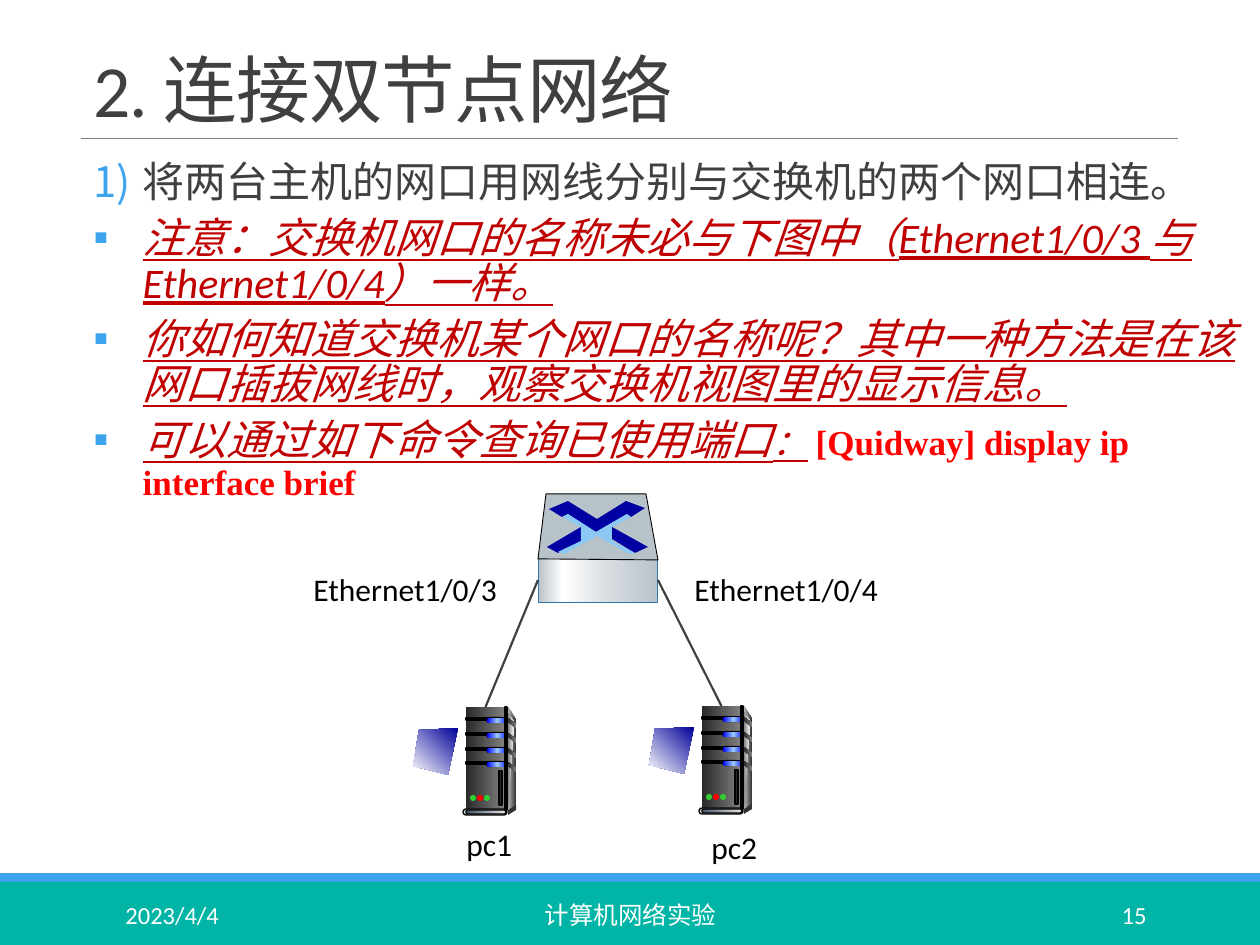
from lxml import etree
from pptx import Presentation
from pptx import util as u
from pptx.dml.color import RGBColor
from pptx.enum import shapes, text
from pptx.oxml import ns

EMU_PER_PX = 914400 / 126

WHITE = RGBColor(0xFF, 0xFF, 0xFF)
BLACK = RGBColor(0, 0, 0)
INK = RGBColor(0x40, 0x40, 0x40)
RULE = RGBColor(0x80, 0x80, 0x80)
SKY = RGBColor(0x3D, 0xA3, 0xED)
TEAL = RGBColor(0, 0xB4, 0xA6)
CRIMSON = RGBColor(0xC0, 0, 0)
RED = RGBColor(0xFF, 0, 0)
GREEN = RGBColor(0x33, 0xCC, 0x33)
COAL = RGBColor(0x29, 0x29, 0x29)
IRON = RGBColor(0x33, 0x33, 0x33)
SILVER = RGBColor(0xDD, 0xDD, 0xDD)
PEARL = RGBColor(0xF8, 0xF8, 0xF8)
BLUE = RGBColor(0, 0, 0xFF)
PALE_BLUE = RGBColor(0x99, 0xCC, 0xFF)
SCREEN = RGBColor(0, 0, 0x99)
SLATE = RGBColor(0x44, 0x54, 0x6A)
MIST = RGBColor(0xE7, 0xE6, 0xE6)
STEEL = RGBColor(0xB8, 0xC2, 0xC9)
LIGHT_STEEL = RGBColor(0xD6, 0xDC, 0xE0)
EDGE = RGBColor(0x2D, 0x79, 0xAF)
NAVY = RGBColor(0, 0, 0xA3)
ARROW_SIDE = RGBColor(0x8B, 0xC8, 0xF4)

DARK_METAL = [(0, COAL), (100, RULE)]
LAMP = [(0, BLUE), (50, PALE_BLUE), (100, BLUE)]

RECT = shapes.MSO_SHAPE.RECTANGLE
ROUND = shapes.MSO_SHAPE.ROUNDED_RECTANGLE
OVAL = shapes.MSO_SHAPE.OVAL
LEFT, CENTER, RIGHT = text.PP_ALIGN.LEFT, text.PP_ALIGN.CENTER, text.PP_ALIGN.RIGHT


def px(n):
    return u.Emu(round(n * EMU_PER_PX))


def sub(parent, tag, **attrs):
    return etree.SubElement(parent, ns.qn(tag), attrs)


def paint(sp, fill, line=None, width=0.75, angle=0):
    """Fill with a colour or a list of (percent, colour) stops, then outline."""
    sp.shadow.inherit = False
    if isinstance(fill, list):
        sp.fill.gradient()
        sp.fill.gradient_angle = angle
        stops = sp.fill._fill._gradFill.find(ns.qn("a:gsLst"))
        for stop in list(stops):
            stops.remove(stop)
        for percent, color in fill:
            gs = sub(stops, "a:gs", pos=str(percent * 1000))
            sub(gs, "a:srgbClr", val=str(color))
    else:
        sp.fill.solid()
        sp.fill.fore_color.rgb = fill
    if line is None:
        sp.line.fill.background()
    else:
        sp.line.color.rgb = line
        sp.line.width = u.Pt(width)
    return sp


def add_box(parent, kind, box, fill, **style):
    sp = parent.add_shape(kind, *map(px, box))
    if kind == ROUND:
        sp.adjustments[0] = 0.5
    return paint(sp, fill, **style)


def add_polygon(parent, points, fill, origin=(0, 0), **style):
    builder = parent.build_freeform(*points[0], scale=EMU_PER_PX)
    builder.add_line_segments(points[1:], close=True)
    return paint(builder.convert_to_shape(*map(px, origin)), fill, **style)


def add_line(parent, start, end, color, width):
    line = parent.add_connector(shapes.MSO_CONNECTOR.STRAIGHT, *map(px, start + end))
    line.line.color.rgb = color
    line.line.width = u.Pt(width)
    sub(line._element.spPr, "a:effectLst")
    return line


def style_font(font, size, color, name="Calibri"):
    font.size, font.name = u.Pt(size), name
    font.color.rgb = color


def add_text(s, box, words, size, color, align=LEFT, anchor=text.MSO_ANCHOR.TOP, wrap=True):
    tf = s.shapes.add_textbox(*map(px, box)).text_frame
    tf.word_wrap = wrap
    tf.vertical_anchor = anchor
    p = tf.paragraphs[0]
    p.alignment = align
    p.add_run().text = words
    style_font(p.font, size, color)
    return p


def add_item(tf, index, runs, color, numbered=False):
    p = tf.paragraphs[0] if index == 0 else tf.add_paragraph()
    p.line_spacing = 0.9
    p.space_before, p.space_after = u.Pt(2 if index else 0), u.Pt(4)
    pPr = p._p.get_or_add_pPr()
    pPr.set("marL", str(u.Inches(0.49)))
    pPr.set("indent", str(-u.Inches(0.39)))
    sub(sub(pPr, "a:buClr"), "a:srgbClr", val=str(SKY))
    sub(pPr, "a:buFont", typeface="Calibri")
    if numbered:
        sub(pPr, "a:buAutoNum", type="arabicParenR")
    else:
        sub(pPr, "a:buChar", char="▪")
    style_font(p.font, 24, color)
    p.font.italic = p.font.underline = not numbered
    for words in runs:
        p.add_run().text = words
    return p


def add_instructions(s):
    tf = s.shapes.add_textbox(*map(px, (81, 155, 1169, 701))).text_frame
    tf.word_wrap = True
    tf.margin_left = tf.margin_right = 0
    add_item(tf, 0, ["将两台主机的网口用网线分别与交换机的两个网口相连。"], INK, numbered=True)
    add_item(tf, 1, ["注意：交换机网口的名称未必与下图中（Ethernet1/0/3 与Ethernet1/0/4）一样。"], CRIMSON)
    add_item(tf, 2, ["你如何知道交换机某个网口的名称呢？其中一种方法是在该网口插拔网线时，"
                     "观察交换机视图里的显示信息。"], CRIMSON)
    p = add_item(tf, 3, ["可以通过如下命令查询已使用端口", "：",
                         " [Quidway] display ip interface brief"], CRIMSON)
    _, colon, command = p.runs
    colon.font.size = u.Pt(20)
    style_font(command.font, 20, RED, "Times New Roman")
    command.font.bold = True
    command.font.italic = command.font.underline = False


def add_pc(s, x, y):
    """Draw a PC with its tower's top left corner at x, y; return the tower front."""
    g = s.shapes.add_group_shape().shapes

    def box(kind, left, top, width, height, fill, line=None):
        return add_box(g, kind, (x + left, y + top, width, height), fill, line=line)

    def polygon(points, fill, angle=0):
        add_polygon(g, points, fill, (x, y), angle=angle)

    polygon([(42, 0), (50, 13), (50, 100), (40, 103)], [(0, SILVER), (100, IRON)])
    front = box(RECT, 0, 0, 39, 103, DARK_METAL)
    polygon([(42, 6), (48, 15), (45, 58), (42, 101)], [(0, RULE), (100, PEARL)])
    for top in (11, 26, 41, 55):
        box(RECT, 0, top, 23, 2, BLACK, BLACK)
        box(ROUND, 20, top - 1, 21, 6, BLACK)
        box(ROUND, 21, top, 21, 5, LAMP)
        polygon([(42, top), (50, top + 6), (50, top + 10), (42, top + 4)], DARK_METAL)
    box(RECT, 39, 0, 2, 103, [(0, IRON), (50, SILVER), (100, IRON)], BLACK)
    box(OVAL, 49, 98, 1, 4, IRON)
    polygon([(42, 103), (42, 108), (50, 103), (50, 98)], IRON)
    box(ROUND, -3, 102, 44, 6, SILVER, BLACK)
    box(ROUND, 0, 103, 40, 4, [(0, SLATE), (100, MIST)], BLACK)
    for i, color in enumerate((GREEN, RED, GREEN)):
        box(OVAL, 4 + 7 * i, 88, 6, 6, color)
    box(RECT, 33, 64, 3, 34, COAL, BLACK)
    polygon([(-8, 21), (-47, 23), (-53, 59), (-18, 68)], [(0, SCREEN), (100, WHITE)], 225)
    return front


def add_switch(s):
    """Draw the switch and return its front."""
    g = s.shapes.add_group_shape().shapes
    front = add_box(g, RECT, (538, 558, 120, 44),
                    [(0, STEEL), (21, WHITE), (60, LIGHT_STEEL), (100, STEEL)], line=EDGE, width=0.5)
    add_polygon(g, [(538, 559), (546, 494), (646, 494), (658, 560)], STEEL, line=BLACK, width=0.5)
    add_polygon(g, [(626, 501), (645, 508), (631, 517), (627, 514), (596, 532), (568, 514),
                    (562, 517), (549, 509), (568, 501), (597, 519)], NAVY)
    add_polygon(g, [(612, 527), (648, 547), (635, 553), (612, 539)], NAVY)
    add_polygon(g, [(581, 527), (582, 541), (558, 553), (547, 547)], NAVY)
    add_polygon(g, [(562, 517), (568, 514), (596, 532), (627, 514), (631, 517), (612, 527),
                    (612, 541), (635, 553), (629, 554), (597, 536), (564, 554), (558, 552),
                    (581, 541), (581, 527)], ARROW_SIDE)
    return front


def add_network(s):
    pcs = [add_pc(s, 466, 707), add_pc(s, 702, 706)]
    switch = add_switch(s)
    for pc, side in zip(pcs, (1, 3)):
        cable = add_line(s.shapes, (0, 0), (1, 1), INK, 1.25)
        cable.begin_connect(pc, 0)
        cable.end_connect(switch, side)
    for words, box in (("Ethernet1/0/3", (301, 564, 212, 50)), ("Ethernet1/0/4", (682, 564, 212, 50)),
                       ("pc1", (454, 819, 72, 50)), ("pc2", (699, 822, 72, 50))):
        add_text(s, box, words, 18, BLACK, wrap=False)


def add_footer(s):
    for words, left, width, align in (("2023/4/4", 113, 256, LEFT),
                                      ("计算机网络实验", 381, 499, CENTER), ("15", 1023, 136, RIGHT)):
        add_text(s, (left, 890, width, 50), words, 14, WHITE, align, text.MSO_ANCHOR.MIDDLE)


def main():
    prs = Presentation()
    prs.slide_width, prs.slide_height = px(1260), px(945)
    s = prs.slides.add_slide(prs.slide_layouts[6])
    add_box(s.shapes, RECT, (0, 873, 1260, 9), SKY)
    add_box(s.shapes, RECT, (0, 882, 1260, 63), TEAL)
    add_line(s.shapes, (81, 138), (1178, 138), RULE, 0.5)
    title = add_text(s, (81, 39, 1097, 100), "2. 连接双节点网络", 42, INK,
                     anchor=text.MSO_ANCHOR.BOTTOM)
    title.line_spacing = 0.85
    title.runs[0]._r.get_or_add_rPr().set("spc", "-50")
    add_instructions(s)
    add_footer(s)
    add_network(s)
    prs.save("out.pptx")


if __name__ == "__main__":
    main()
